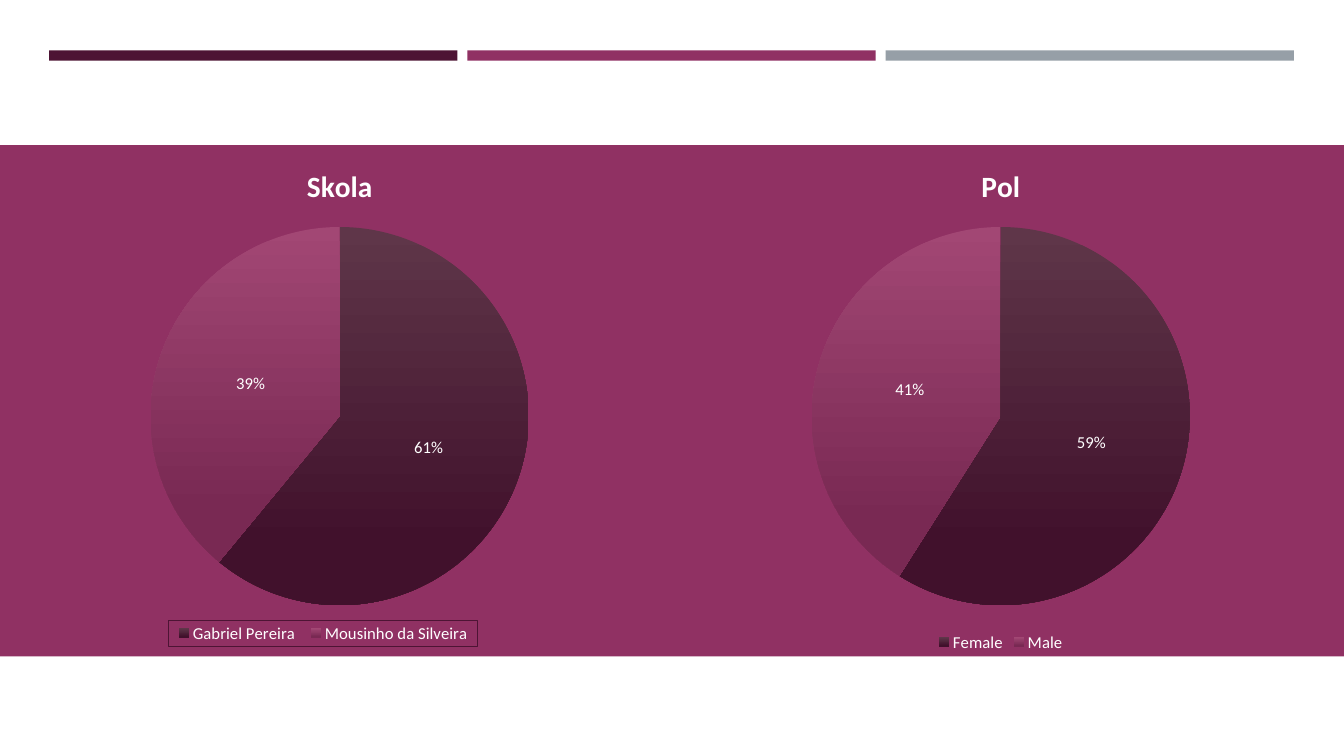
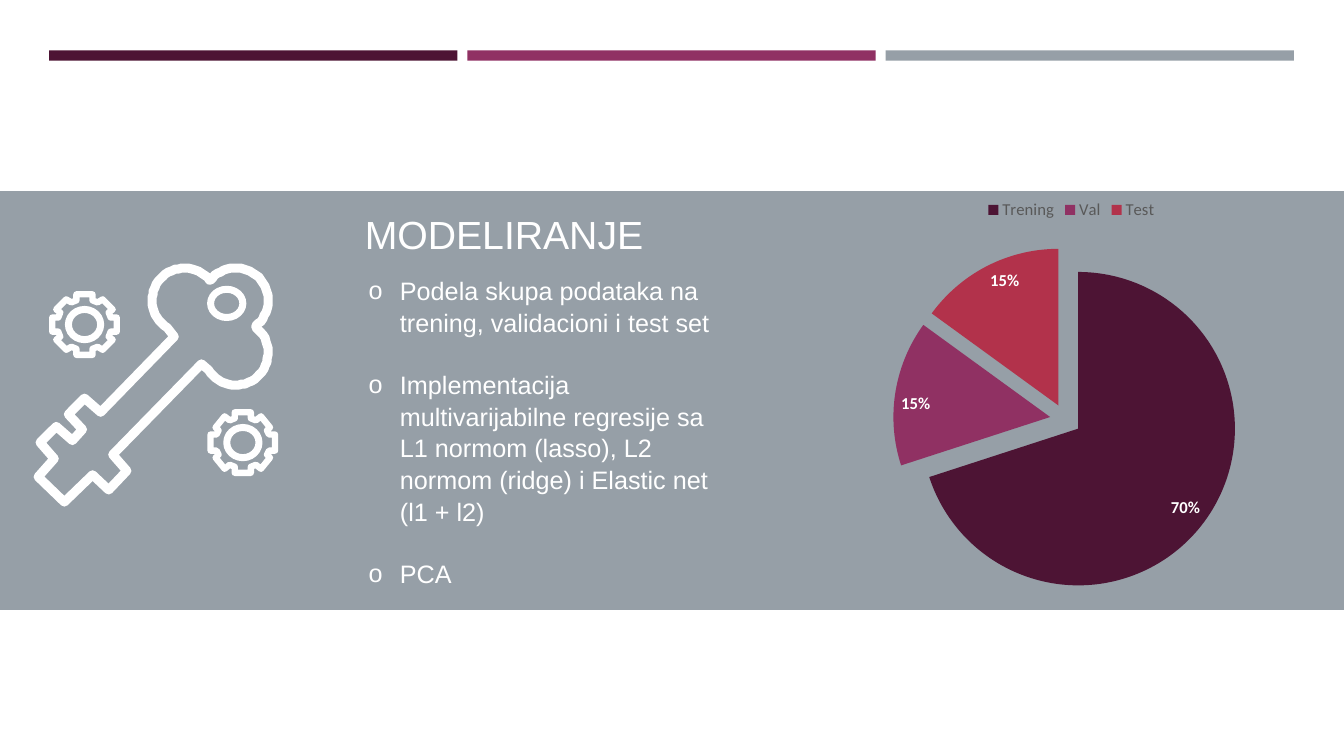
import math
from collections import namedtuple

from lxml import etree
from pptx import Presentation
from pptx import util as u
from pptx.chart import data as chart_data
from pptx.dml import color
from pptx.enum import chart as chart_enum
from pptx.enum import shapes, text
from pptx.oxml import ns

COLORS = {
    "plum": "4D1434",
    "berry": "903163",
    "steel": "969FA7",
    "red": "B2324B",
    "white": "FFFFFF",
    "grey": "595959",
}
PLUM_FADE = ("5F3649", "41112C")
BERRY_FADE = ("A24774", "792953")
HEAD_FONT = "Arial"
CHART_FONT = "Calibri"
LABEL_SIZE = 11.9
PAGE_WIDTH, PAGE_HEIGHT = 33.87, 19.05

Box = namedtuple("Box", "left top width height")


def lengths(box):
    return [u.Cm(value) for value in box]


def rgb(value):
    return color.RGBColor.from_string(value)


def set_font(font, size, hue, name, bold=None):
    font.size = u.Pt(size)
    font.color.rgb = rgb(hue)
    font.name = name
    font.bold = bold


def add_span(para, words, size, hue, name, bold=None):
    span = para.add_run()
    span.text = words
    set_font(span.font, size, hue, name, bold)


def add_block(page, box, hue):
    block = page.shapes.add_shape(shapes.MSO_SHAPE.RECTANGLE, *lengths(box))
    block.shadow.inherit = False
    block.fill.solid()
    block.fill.fore_color.rgb = rgb(hue)
    block.line.fill.background()
    return block


def add_master_bars(deck, page):
    tree = deck.slide_master.shapes.element
    for index, name in enumerate(("plum", "berry", "steel")):
        box = Box(1.24 + index * 10.54, 1.27, 10.29, 0.26)
        bar = add_block(page, box, COLORS[name])
        bar.element.nvSpPr.cNvPr.set("id", str(100 + index))
        tree.append(bar.element)


def manual_layout(parts):
    layout = etree.Element(ns.qn("c:layout"))
    manual = etree.SubElement(layout, ns.qn("c:manualLayout"))
    for tag, value in parts:
        etree.SubElement(manual, ns.qn("c:" + tag)).set("val", str(value))
    return layout


def place_plot(chart, place):
    area = chart.element.find(".//" + ns.qn("c:plotArea"))
    old = area.find(ns.qn("c:layout"))
    if old is not None:
        area.remove(old)
    modes = [("layoutTarget", "inner"), ("xMode", "edge"), ("yMode", "edge")]
    area.insert(0, manual_layout(modes + list(zip("xywh", place))))


def frame_legend(chart, place, hue):
    legend = chart.element.find(".//" + ns.qn("c:legend"))
    old = legend.find(ns.qn("c:layout"))
    if old is not None:
        legend.remove(old)
    modes = [("xMode", "edge"), ("yMode", "edge")]
    legend.find(ns.qn("c:legendPos")).addnext(
        manual_layout(modes + list(zip("xywh", place))))
    style = etree.Element(ns.qn("c:spPr"))
    line = etree.SubElement(style, ns.qn("a:ln"), w="9525")
    fill = etree.SubElement(line, ns.qn("a:solidFill"))
    etree.SubElement(fill, ns.qn("a:srgbClr"), val=hue)
    legend.find(ns.qn("c:overlay")).addnext(style)


def paint_slice(fill, paint):
    if isinstance(paint, str):
        fill.solid()
        fill.fore_color.rgb = rgb(paint)
        return
    fill.gradient()
    fill.gradient_angle = 270
    for stop, hue, position in zip(fill.gradient_stops, paint, (0, 0.84)):
        stop.color.rgb = rgb(hue)
        stop.position = position


def add_pie(page, box, name, slices, plot, legend_at, legend_hue,
            label_at, bold=None, explosion=0):
    data = chart_data.CategoryChartData()
    data.categories = [label for label, value, paint in slices]
    data.add_series(name, [value for label, value, paint in slices])
    chart = page.shapes.add_chart(
        chart_enum.XL_CHART_TYPE.PIE, *lengths(box), data).chart
    chart.font.name = CHART_FONT
    chart.font.size = u.Pt(10)
    chart.has_title = False
    chart.has_legend = True
    chart.legend.position = legend_at
    chart.legend.include_in_layout = False
    set_font(chart.legend.font, LABEL_SIZE, legend_hue, CHART_FONT)
    chart.plots[0].vary_by_categories = True
    series = chart.plots[0].series[0]
    if explosion:
        apart = etree.Element(ns.qn("c:explosion"), val=str(explosion))
        chart.element.find(".//" + ns.qn("c:ser")).find(
            ns.qn("c:tx")).addnext(apart)
    for index, (label, value, paint) in enumerate(slices):
        paint_slice(series.points[index].format.fill, paint)
    labels = series.data_labels
    labels.show_percentage = True
    labels.show_value = False
    labels.number_format = "0%"
    labels.number_format_is_linked = False
    labels.position = label_at
    set_font(labels.font, LABEL_SIZE, COLORS["white"], CHART_FONT, bold)
    place_plot(chart, plot)
    return chart


def add_titled_pie(page, box, name, slices):
    chart = add_pie(page, box, name, slices, (0.21, 0.16, 0.58, 0.74),
                    chart_enum.XL_LEGEND_POSITION.BOTTOM, COLORS["white"],
                    chart_enum.XL_LABEL_POSITION.CENTER)
    chart.has_title = True
    add_span(chart.chart_title.text_frame.paragraphs[0], name, 21,
             COLORS["white"], CHART_FONT, True)
    return chart


def build_sample_page(page):
    band = Box(0, 3.66, PAGE_WIDTH, 12.88)
    add_block(page, band, COLORS["berry"])
    pies = (
        ("Skola", (("Gabriel Pereira", 61, PLUM_FADE),
                   ("Mousinho da Silveira", 39, BERRY_FADE))),
        ("Pol", (("Female", 59, PLUM_FADE), ("Male", 41, BERRY_FADE))),
    )
    charts = []
    for index, (name, slices) in enumerate(pies):
        box = Box(0.28 + index * 16.66, band.top, 16.56, band.height)
        charts.append(add_titled_pie(page, box, name, slices))
    frame_legend(charts[0], (0.24, 0.93, 0.47, 0.05), COLORS["plum"])


def style_outline(shape, weight):
    shape.shadow.inherit = False
    shape.fill.background()
    shape.line.color.rgb = rgb(COLORS["white"])
    shape.line.width = u.Pt(weight)
    etree.SubElement(shape.line._get_or_add_ln(), ns.qn("a:round"))


def arc_points(center, radius, start, end, steps=32):
    for step in range(steps + 1):
        angle = math.radians(start + (end - start) * step / steps)
        yield (center[0] + radius * math.cos(angle),
               center[1] + radius * math.sin(angle))


def key_points():
    points = [(139, 71), (66, 146), (50, 132), (34, 148), (48, 163),
              (38, 174), (22, 160), (6, 176), (20, 192), (4, 210),
              (30, 235), (58, 208), (74, 223), (92, 204), (78, 188),
              (166, 98)]
    for center, start, end in (((200, 87), 148, -52), ((200, 35), 52, -142),
                               ((149, 35), -39, -237)):
        points.extend(arc_points(center, 32, start, end))
    return points


def gear_points(center):
    quarter = [(32, 7.5), (26, 7.5), (24, 12), (27.5, 15), (18, 25.5),
               (13, 22), (8, 24), (8, 30)]
    points = []
    for across, down in ((1, 1), (-1, 1), (-1, -1), (1, -1)):
        corner = quarter if across == down else quarter[::-1]
        points += [(center[0] + across * x, center[1] + down * y)
                   for x, y in corner]
    return points


def add_key_and_gears(page, box):
    unit = box.width / 242

    def add_outline(points, weight):
        builder = page.shapes.build_freeform(*points[0], scale=u.Cm(unit))
        builder.add_line_segments(points[1:], close=True)
        outline = builder.convert_to_shape(u.Cm(box.left), u.Cm(box.top))
        style_outline(outline, weight)

    def add_ring(center, width, height):
        ring_box = Box(box.left + (center[0] - width / 2) * unit,
                       box.top + (center[1] - height / 2) * unit,
                       width * unit, height * unit)
        ring = page.shapes.add_shape(shapes.MSO_SHAPE.OVAL,
                                     *lengths(ring_box))
        style_outline(ring, 5)

    add_outline(key_points(), 6.5)
    add_ring((191, 38), 32, 28)
    for center in ((207, 176), (50, 59)):
        add_outline(gear_points(center), 4.5)
        add_ring(center, 32, 30)


def format_title(title, box, words):
    title.left, title.top, title.width, title.height = lengths(box)
    frame = title.text_frame
    frame.word_wrap = True
    frame.auto_size = text.MSO_AUTO_SIZE.NONE
    frame.vertical_anchor = text.MSO_ANCHOR.BOTTOM
    para = frame.paragraphs[0]
    para.alignment = text.PP_ALIGN.LEFT
    add_span(para, words, 28, COLORS["white"], HEAD_FONT)


def add_bullets(page, box, items):
    frame = page.shapes.add_textbox(*lengths(box)).text_frame
    frame.word_wrap = True
    for index, item in enumerate(items):
        para = frame.add_paragraph() if index else frame.paragraphs[0]
        para.line_spacing = 1.05
        para.space_before = u.Pt(21.6 if index else 0)
        style = para._p.get_or_add_pPr()
        style.set("marL", str(u.Cm(0.79)))
        style.set("indent", str(u.Cm(-0.79)))
        etree.SubElement(style, ns.qn("a:buFont"), typeface=HEAD_FONT)
        etree.SubElement(style, ns.qn("a:buChar"), char="o")
        add_span(para, item, 18, COLORS["white"], HEAD_FONT)


def build_model_page(page):
    band = Box(0, 4.85, PAGE_WIDTH, 10.49)
    block = add_block(page, band, COLORS["steel"])
    block.line.color.rgb = rgb(COLORS["steel"])
    block.line.width = u.Pt(1.75)
    title = page.shapes.title
    page.shapes.element.append(title.element)
    format_title(title, Box(8.94, band.top - 2.41, 10.5, 4.17), "MODELIRANJE")
    add_bullets(page, Box(9.04, band.top + 1.93, 9.27, 8.5), (
        "Podela skupa podataka na trening, validacioni i test set",
        "Implementacija multivarijabilne regresije sa L1 normom (lasso), "
        "L2 normom (ridge) i Elastic net (l1 + l2)",
        "PCA",
    ))
    add_key_and_gears(page, Box(0.86, band.top + 1.83, 6.15, 6.1))
    add_pie(page, Box(19.76, band.top - 0.1, 14.48, 11.53), "Series 1",
            (("Trening", 70, COLORS["plum"]), ("Val", 15, COLORS["berry"]),
             ("Test", 15, COLORS["red"])),
            (0.19, 0.08, 0.6, 0.85), chart_enum.XL_LEGEND_POSITION.TOP,
            COLORS["grey"], chart_enum.XL_LABEL_POSITION.INSIDE_END,
            bold=True, explosion=10)


def main():
    deck = Presentation()
    deck.slide_width, deck.slide_height = u.Cm(PAGE_WIDTH), u.Cm(PAGE_HEIGHT)
    title_only, blank = deck.slide_layouts[5], deck.slide_layouts[6]
    sample_page = deck.slides.add_slide(blank)
    for holder in list(sample_page.placeholders):
        holder.element.getparent().remove(holder.element)
    add_master_bars(deck, sample_page)
    build_sample_page(sample_page)
    build_model_page(deck.slides.add_slide(title_only))
    deck.save("out.pptx")


if __name__ == "__main__":
    main()
